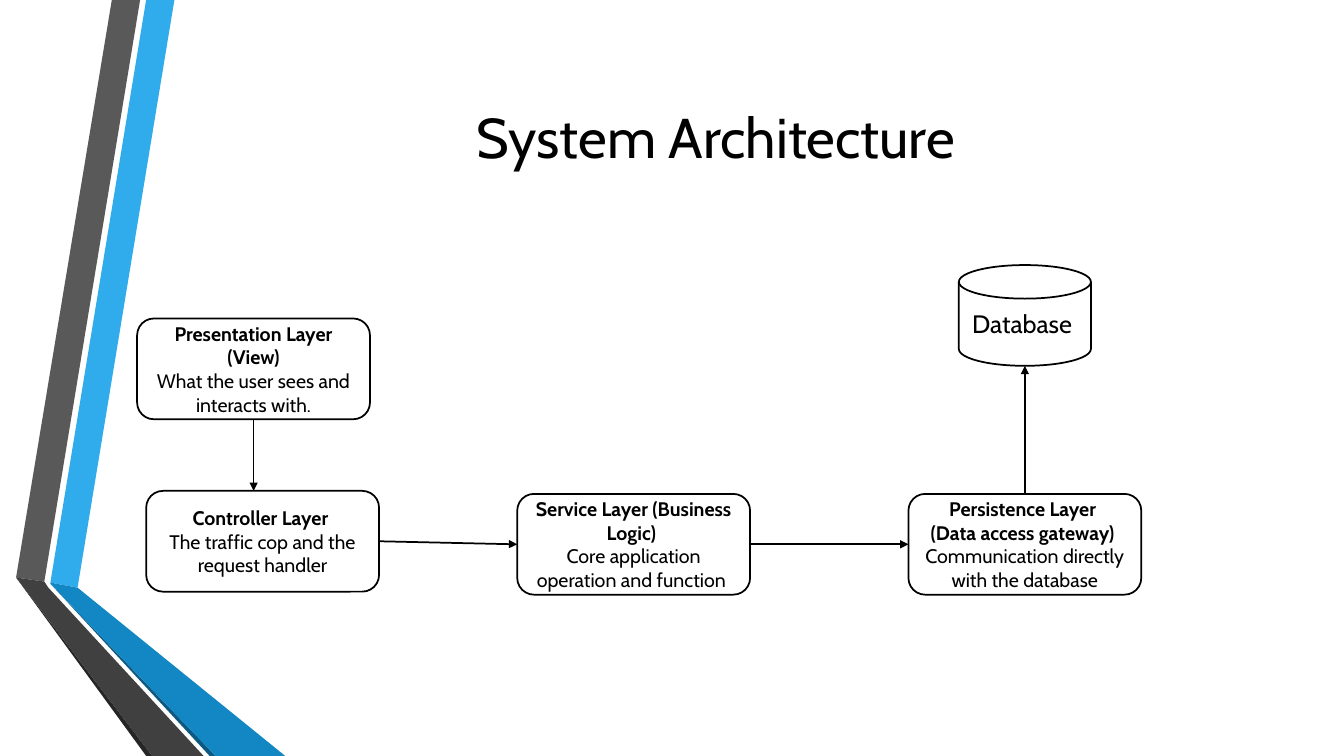
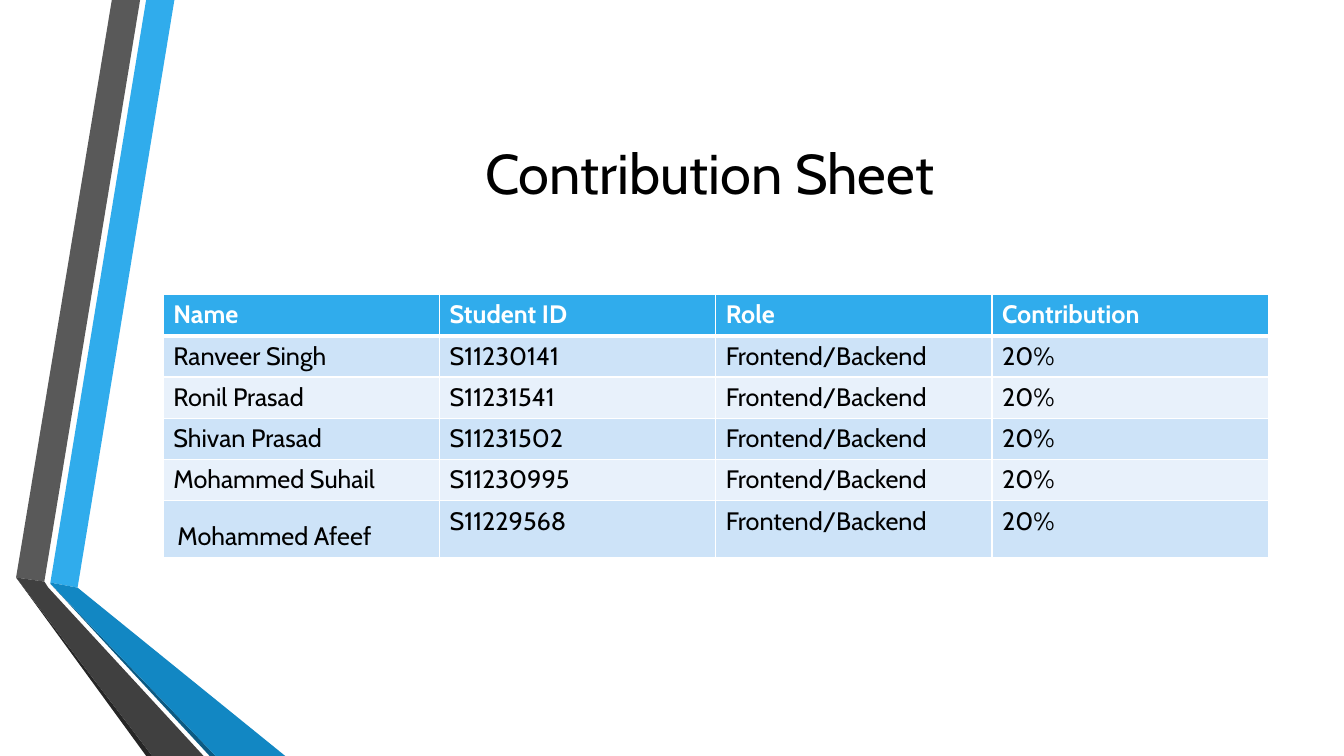
import dataclasses
import typing

import pptx
import pptx.dml.color
import pptx.enum.shapes
import pptx.enum.text
import pptx.oxml
import pptx.oxml.ns
import pptx.util

Inches = pptx.util.Inches
Shape = pptx.enum.shapes.MSO_SHAPE
Point = tuple[float, float]

FONT = "Cabin"
COLOURS = {
    "black": "000000", "white": "FFFFFF",
    "sky": "30ACEC", "blue": "1287C3", "navy": "0C5A82",
    "grey": "595959", "charcoal": "404040", "soot": "262626",
    "band": "CDE3F8", "pale band": "E8F1FB",
}
TITLE_ONLY = 5
MARGIN, CONTENT_WIDTH = 1.62, 10.96


@dataclasses.dataclass(frozen=True)
class Ribbon:
    colour: str
    outline: list[Point]


@dataclasses.dataclass(frozen=True)
class Node:
    left: float
    top: float
    headings: tuple[str, ...]
    detail: str
    width: float = 2.31
    height: float = 1.0
    size: int = 14
    preset: Shape = Shape.ROUNDED_RECTANGLE

    @property
    def centre_x(self) -> float:
        return self.left + self.width / 2

    @property
    def centre_y(self) -> float:
        return self.top + self.height / 2

    @property
    def right(self) -> float:
        return self.left + self.width

    @property
    def bottom(self) -> float:
        return self.top + self.height


RIBBONS = [
    Ribbon("sky", [(0.5, 5.78), (0.77, 5.83), (1.73, 0), (1.45, 0)]),
    Ribbon("grey", [(1.39, 0), (1.11, 0), (0.16, 5.73), (0.44, 5.77)]),
    Ribbon("soot", [(0.16, 5.73), (1.45, 7.5), (1.51, 7.5)]),
    Ribbon("navy", [(0.5, 5.79), (2.08, 7.5), (2.14, 7.5)]),
    Ribbon("blue", [(0.5, 5.79), (2.14, 7.5), (2.83, 7.5), (0.77, 5.83), (0.5, 5.78)]),
    Ribbon("charcoal", [(2.02, 7.5), (0.48, 5.83), (0.44, 5.77), (0.16, 5.73), (1.51, 7.5)]),
]

VIEW = Node(1.36, 3.16, ("Presentation Layer (View)",),
            "What the user sees and interacts with.")
CONTROLLER = Node(1.45, 4.87, ("Controller Layer ",),
                  "The traffic cop and the request handler")
SERVICE = Node(5.13, 4.9, ("Service Layer (Business Logic) ",),
               "Core application operation and function ")
PERSISTENCE = Node(9.01, 4.9, ("Persistence Layer ", "(Data access gateway) "),
                   "Communication directly with the database")
DATABASE = Node(9.51, 2.63, (), "Database ", width=1.31, size=18,
                preset=Shape.FLOWCHART_MAGNETIC_DISK)

HEADER = ("Name", "Student ID", "Role", "Contribution")
STUDENTS = [
    ("Ranveer Singh", "S11230141"),
    ("Ronil Prasad", "S11231541"),
    ("Shivan Prasad", "S11231502"),
    ("Mohammed Suhail", "S11230995"),
    ("Mohammed Afeef", "S11229568"),
]
ROLE, SHARE = "Frontend/Backend", "20%"


# Shared formatting
def colour(name: str) -> pptx.dml.color.RGBColor:
    return pptx.dml.color.RGBColor.from_string(COLOURS[name])


def paint(fill: typing.Any, name: str) -> None:
    fill.solid()
    fill.fore_color.rgb = colour(name)


def write(para: typing.Any, text: str, size: int, tint: str = "black",
          bold: bool = False) -> None:
    span = para.add_run()
    span.text = text
    values = {"name": FONT, "size": pptx.util.Pt(size), "bold": bold}
    for key, value in values.items():
        setattr(span.font, key, value)
    span.font.color.rgb = colour(tint)


def stroke(line: typing.Any) -> None:
    line.color.rgb = colour("black")
    line.width = pptx.util.Pt(1.25)


# Master and titles
def add_ribbons(deck: typing.Any, page: typing.Any) -> None:
    """Build the ribbons on a page, then move them behind the master's content."""
    tree = deck.slide_master.shapes.element
    for position, ribbon in enumerate(RIBBONS, start=2):
        corners = [(Inches(x), Inches(y)) for x, y in ribbon.outline]
        builder = page.shapes.build_freeform(*corners[0])
        builder.add_line_segments(corners[1:], close=True)
        band = builder.convert_to_shape()
        band.shadow.inherit = False
        paint(band.fill, ribbon.colour)
        band.line.fill.background()
        tree.insert(position, band.element)


def add_page(deck: typing.Any, title: str, title_height: float) -> typing.Any:
    page = deck.slides.add_slide(deck.slide_layouts[TITLE_ONLY])
    box = page.shapes.title
    places = {"left": MARGIN, "top": 0.75, "width": CONTENT_WIDTH, "height": title_height}
    for key, value in places.items():
        setattr(box, key, Inches(value))
    box.text_frame.auto_size = pptx.enum.text.MSO_AUTO_SIZE.NONE
    box.text_frame.vertical_anchor = pptx.enum.text.MSO_ANCHOR.MIDDLE
    para = box.text_frame.paragraphs[0]
    para.alignment = pptx.enum.text.PP_ALIGN.CENTER
    write(para, title, 40)
    return page


# Diagram
def add_node(page: typing.Any, node: Node) -> None:
    lengths = (node.left, node.top, node.width, node.height)
    box = page.shapes.add_shape(node.preset, *map(Inches, lengths))
    box.shadow.inherit = False
    paint(box.fill, "white")
    stroke(box.line)
    frame = box.text_frame
    frame.word_wrap = True
    frame.vertical_anchor = pptx.enum.text.MSO_ANCHOR.MIDDLE
    lines = [(text, True) for text in node.headings] + [(node.detail, False)]
    for index, (text, bold) in enumerate(lines):
        para = frame.add_paragraph() if index else frame.paragraphs[0]
        para.alignment = pptx.enum.text.PP_ALIGN.CENTER
        write(para, text, node.size, bold=bold)


def add_arrow(page: typing.Any, start: Point, end: Point) -> None:
    arrow = page.shapes.add_connector(
        pptx.enum.shapes.MSO_CONNECTOR.STRAIGHT, *map(Inches, start + end))
    stroke(arrow.line)
    namespace = pptx.oxml.ns.nsdecls("a")
    outline = arrow.line._get_or_add_ln()
    outline.append(pptx.oxml.parse_xml(f'<a:tailEnd {namespace} type="triangle"/>'))
    arrow.element.spPr.append(pptx.oxml.parse_xml(f"<a:effectLst {namespace}/>"))


def draw_architecture(page: typing.Any) -> None:
    for node in (VIEW, CONTROLLER, SERVICE, PERSISTENCE, DATABASE):
        add_node(page, node)
    for source, target in ((CONTROLLER, SERVICE), (SERVICE, PERSISTENCE)):
        add_arrow(page, (source.right, source.centre_y), (target.left, target.centre_y))
    add_arrow(page, (VIEW.centre_x, VIEW.bottom), (VIEW.centre_x, CONTROLLER.top))
    add_arrow(page, (DATABASE.centre_x, PERSISTENCE.top),
              (DATABASE.centre_x, DATABASE.bottom))


# Table
def add_borders(cell: typing.Any, widths: dict[str, int]) -> None:
    properties = cell._tc.get_or_add_tcPr()
    for position, (side, width) in enumerate(widths.items()):
        properties.insert(position, pptx.oxml.parse_xml(
            f'<a:ln{side} {pptx.oxml.ns.nsdecls("a")} w="{pptx.util.Pt(width)}">'
            f'<a:solidFill><a:srgbClr val="{COLOURS["white"]}"/></a:solidFill>'
            f'</a:ln{side}>'))


def draw_contributions(page: typing.Any) -> None:
    rows = [HEADER] + [student + (ROLE, SHARE) for student in STUDENTS]
    heights = [0.41] * len(STUDENTS) + [0.55]
    lengths = (MARGIN, 2.92, CONTENT_WIDTH, sum(heights))
    table = page.shapes.add_table(
        len(rows), len(HEADER), *map(Inches, lengths)).table
    table.horz_banding = False
    for column in table.columns:
        column.width = Inches(CONTENT_WIDTH / len(HEADER))
    for index, texts in enumerate(rows):
        table.rows[index].height = Inches(heights[index])
        is_header = index == 0
        fill = "sky" if is_header else ("pale band", "band")[index % 2]
        for number, text in enumerate(texts):
            cell = table.cell(index, number)
            paint(cell.fill, fill)
            add_borders(cell, {"L": 1, "R": 1, "T": 3 if index == 1 else 1,
                               "B": 3 if is_header else 1})
            write(cell.text_frame.paragraphs[0], text, 18,
                  "white" if is_header else "black", is_header)
    # The last name sits lower and slightly indented
    last_name = table.cell(len(rows) - 1, 0)
    last_name.margin_left = Inches(0.14)
    last_name.text_frame.paragraphs[0].line_spacing = 1.5


def main() -> None:
    deck = pptx.Presentation()
    deck.slide_width, deck.slide_height = Inches(13.33), Inches(7.5)
    architecture = add_page(deck, "System Architecture", 1.21)
    add_ribbons(deck, architecture)
    draw_architecture(architecture)
    draw_contributions(add_page(deck, "Contribution Sheet ", 1.92))
    deck.save("out.pptx")


if __name__ == "__main__":
    main()
